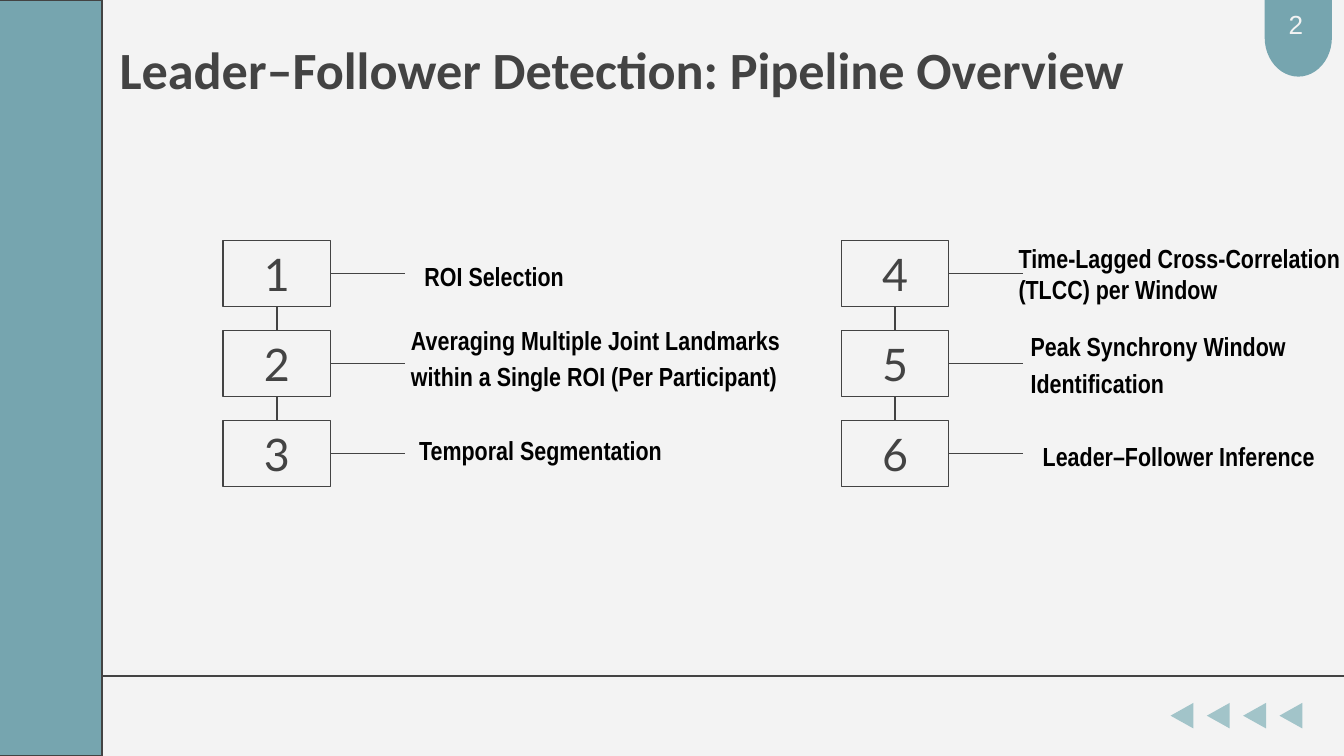
from lxml import etree
from pptx import Presentation
from pptx.dml.color import RGBColor
from pptx.enum.shapes import MSO_CONNECTOR, MSO_SHAPE
from pptx.enum.text import MSO_ANCHOR, MSO_AUTO_SIZE, PP_ALIGN
from pptx.oxml.ns import qn
from pptx.util import Inches, Pt

STRAIGHT = MSO_CONNECTOR.STRAIGHT
RECTANGLE = MSO_SHAPE.RECTANGLE
TRIANGLE = MSO_SHAPE.ISOSCELES_TRIANGLE
DELAY = MSO_SHAPE.FLOWCHART_DELAY
TOP, MIDDLE = MSO_ANCHOR.TOP, MSO_ANCHOR.MIDDLE
LEFT, CENTER = PP_ALIGN.LEFT, PP_ALIGN.CENTER
NO_AUTOFIT = MSO_AUTO_SIZE.NONE

COLORS = {
    name: RGBColor.from_string(value)
    for name, value in {
        "background": "F3F3F3",
        "teal": "76A5AF",
        "light_teal": "A2C4C9",
        "dark": "434343",
        "black": "000000",
    }.items()
}

SLIDE_WIDTH = 10
SLIDE_HEIGHT = SLIDE_WIDTH * 9 / 16
BOX_WIDTH, BOX_HEIGHT = 0.8, 0.49
GRID_LEFT, GRID_TOP = 1.66, 1.79
COLUMN_STEP, ROW_STEP = 4.6, 0.67
STUB_LENGTH = 0.55

STEP_COLUMNS = [
    [
        ("ROI Selection", 3.06, 1.79, 2.6, 1.15),
        ("Averaging Multiple Joint Landmarks within a Single ROI (Per Participant)", 2.96, 2.4, 3.14, 1.15),
        ("Temporal Segmentation", 3.02, 3.1, 2.6, 1),
    ],
    [
        ("Time-Lagged Cross-Correlation (TLCC) per Window", 7.48, 1.79, 2.78, 1),
        ("Peak Synchrony Window Identification", 7.57, 2.45, 2.6, 1.15),
        ("Leader–Follower Inference", 7.66, 3.13, 2.6, 1.15),
    ],
]

presentation = Presentation()
presentation.slide_width = Inches(SLIDE_WIDTH)
presentation.slide_height = Inches(SLIDE_HEIGHT)
slide = presentation.slides.add_slide(presentation.slide_layouts[5])
slide.background.fill.solid()
slide.background.fill.fore_color.rgb = COLORS["background"]


def write_text(shape, text, font_name, size, color, bold=False, align=LEFT, anchor=MIDDLE, spacing=1, margin=0.1):
    text_frame = shape.text_frame
    text_frame.text = text
    text_frame.word_wrap = True
    text_frame.auto_size = NO_AUTOFIT
    text_frame.vertical_anchor = anchor
    text_frame.margin_left = text_frame.margin_right = Inches(0.1)
    text_frame.margin_top = text_frame.margin_bottom = Inches(margin)
    paragraph = text_frame.paragraphs[0]
    paragraph.alignment = align
    paragraph.line_spacing = spacing
    font = paragraph.runs[0].font
    font.name, font.size, font.bold = font_name, Pt(size), bold
    font.color.rgb = COLORS[color]


def add_line(x1, y1, x2, y2):
    connector = slide.shapes.add_connector(STRAIGHT, Inches(x1), Inches(y1), Inches(x2), Inches(y2))
    connector.line.color.rgb = COLORS["dark"]
    connector.line.width = Pt(0.75)
    etree.SubElement(connector._element.spPr, qn("a:effectLst"))
    return connector


add_line(SLIDE_WIDTH, 5.03, 0.39, 5.03)

side_band = slide.shapes.add_shape(RECTANGLE, Inches(-0.02), 0, Inches(0.78), Inches(SLIDE_HEIGHT))
side_band.shadow.inherit = False
side_band.fill.solid()
side_band.fill.fore_color.rgb = COLORS["teal"]
side_band.line.color.rgb = COLORS["dark"]
side_band.line.width = Pt(0.75)

ornaments = [(TRIANGLE, 8.7 + 0.27 * index, 5.24, 0.19, 0.17, 270, "light_teal") for index in range(4)]
ornaments.append((DELAY, 9.37, 0.03, 0.58, 0.5, 90, "teal"))
for kind, left, top, width, height, rotation, color in ornaments:
    ornament = slide.shapes.add_shape(kind, Inches(left), Inches(top), Inches(width), Inches(height))
    ornament.shadow.inherit = False
    ornament.rotation = rotation
    ornament.fill.solid()
    ornament.fill.fore_color.rgb = COLORS[color]
    ornament.line.fill.background()

title = slide.shapes.title
title.left, title.top, title.width, title.height = Inches(0.79), Inches(0.18), Inches(8.94), Inches(0.63)
write_text(title, "Leader–Follower Detection: Pipeline Overview", "Calibri", 28, "dark", bold=True, anchor=TOP)

for column, steps in enumerate(STEP_COLUMNS):
    box_left = GRID_LEFT + column * COLUMN_STEP
    box_right = box_left + BOX_WIDTH
    box_center = box_left + BOX_WIDTH / 2
    previous_box = None
    for row, (label_text, label_left, label_top, label_width, spacing) in enumerate(steps):
        box_top = GRID_TOP + row * ROW_STEP
        box_middle = box_top + BOX_HEIGHT / 2
        box = slide.shapes.add_shape(
            RECTANGLE, Inches(box_left), Inches(box_top), Inches(BOX_WIDTH), Inches(BOX_HEIGHT)
        )
        box.shadow.inherit = False
        box.fill.background()
        box.line.color.rgb = COLORS["dark"]
        box.line.width = Pt(0.75)
        number = column * len(steps) + row + 1
        write_text(box, str(number), "Lato", 24, "dark", align=CENTER)

        stub = add_line(box_right, box_middle, box_right + STUB_LENGTH, box_middle)
        stub.begin_connect(box, 3)
        if previous_box is not None:
            link = add_line(box_center, box_top - ROW_STEP + BOX_HEIGHT, box_center, box_top)
            link.begin_connect(previous_box, 2)
            link.end_connect(box, 0)
        previous_box = box

        label = slide.shapes.add_textbox(
            Inches(label_left), Inches(label_top), Inches(label_width), Inches(BOX_HEIGHT)
        )
        write_text(label, label_text, "Arial Narrow", 14, "black", bold=True, spacing=spacing)

page_number = slide.shapes.add_textbox(Inches(9.49), Inches(0.01), Inches(0.35), Inches(0.34))
write_text(page_number, "2", "Arial", 14, "background", anchor=TOP, margin=0.05)

presentation.save("out.pptx")
